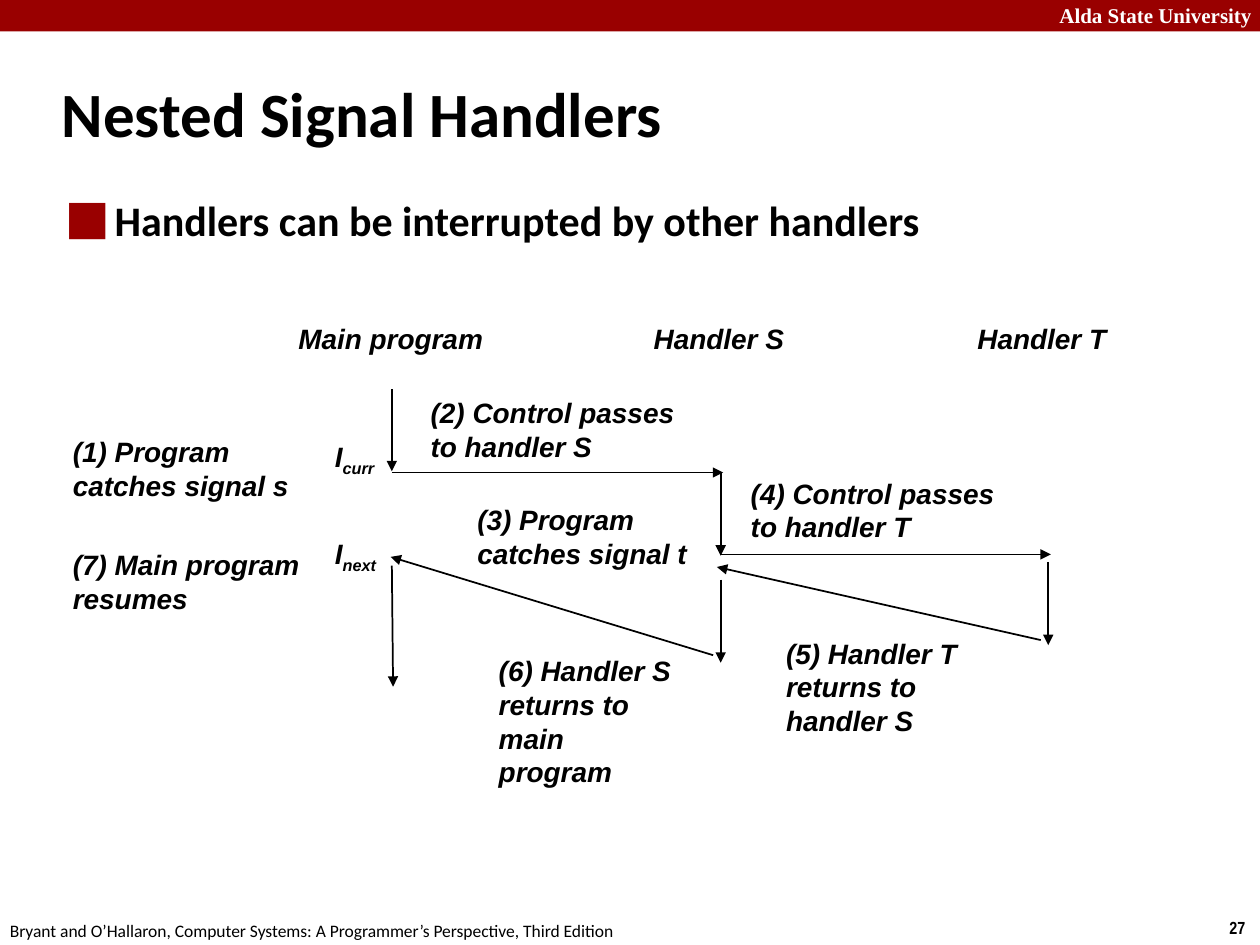
"""Build the slide on nested signal handlers."""
from lxml import etree
from pptx import Presentation
from pptx import util as u
from pptx.dml.color import RGBColor
from pptx.enum import shapes, text
from pptx.oxml import ns

COLORS = {"accent": "990000", "ink": "000000", "paper": "FFFFFF"}
MAIN_X, S_X, T_X = 3.11, 5.72, 8.32

ARROWS = [
    ((MAIN_X, 3.09), (MAIN_X, 3.74)),
    ((MAIN_X, 3.75), (5.74, 3.75)),
    ((S_X, 3.75), (S_X, 4.41)),
    ((S_X, 4.4), (8.34, 4.4)),
    ((T_X, 4.46), (T_X, 5.12)),
    ((8.26, 5.08), (5.69, 4.5)),
    ((S_X, 4.6), (S_X, 5.26)),
    ((5.66, 5.2), (3.1, 4.42)),
    ((MAIN_X, 4.49), (3.12, 5.45)),
]

LABELS = [
    ((2.27, 2.5, 1.74, 0.37), ["Main program"]),
    ((5.09, 2.5, 1.34, 0.37), ["Handler S"]),
    ((7.66, 2.5, 1.34, 0.37), ["Handler T"]),
    ((0.48, 3.4, 2.1, 0.64), ["(1) Program catches signal s"]),
    ((3.32, 3.09, 2.24, 0.64), ["(2) Control passes to handler S"]),
    ((3.69, 3.94, 2.03, 0.64), ["(3) Program catches signal t"]),
    ((5.86, 3.73, 2.31, 0.64), ["(4) Control passes to handler T"]),
    ((6.14, 5, 1.62, 0.91), ["(5) Handler T", "returns to handler S"]),
    ((3.86, 5.14, 1.62, 1.18), ["(6) Handler S", "returns to main program"]),
    ((0.48, 4.3, 2.1, 0.64), ["(7) Main program resumes"]),
]


def rgb(name):
    """Return a named colour."""
    return RGBColor.from_string(COLORS[name])


def add_span(para, words, size, font, color="ink", bold=True, italic=False):
    """Add one formatted run to a paragraph."""
    span = para.add_run()
    span.text = words
    span.font.size = u.Pt(size)
    span.font.name = font
    span.font.bold = bold
    span.font.italic = italic
    span.font.color.rgb = rgb(color)
    return span


def add_box(page, place):
    """Add an empty wrapping text box and return its text frame."""
    frame = page.shapes.add_textbox(*map(u.Inches, place)).text_frame
    frame.word_wrap = True
    return frame


def add_line_of_text(page, place, words, size, font, **style):
    """Add a text box with one paragraph in one style."""
    add_span(add_box(page, place).paragraphs[0], words, size, font, **style)


def add_label(page, place, lines):
    """Add a diagram label with one paragraph for each line."""
    frame = add_box(page, place)
    for index, line in enumerate(lines):
        para = frame.add_paragraph() if index else frame.paragraphs[0]
        add_span(para, line, 16, "Arial", italic=True)


def add_instruction(page, top, subscript):
    """Add an instruction symbol with its subscript."""
    para = add_box(page, (2.56, top, 0.61, 0.37)).paragraphs[0]
    add_span(para, "I", 16, "Arial", italic=True)
    span = add_span(para, subscript, 16, "Arial", italic=True)
    span.font._element.set("baseline", "-25000")


def add_arrow(page, start, end):
    """Add a straight arrow between two points."""
    arrow = page.shapes.add_connector(
        shapes.MSO_CONNECTOR.STRAIGHT, *map(u.Inches, start + end))
    arrow.line.color.rgb = rgb("ink")
    arrow.line.width = u.Pt(1)
    etree.SubElement(arrow.line._get_or_add_ln(), ns.qn("a:tailEnd"), type="triangle")
    etree.SubElement(arrow._element.spPr, ns.qn("a:effectLst"))


def add_band(page):
    """Add the coloured band along the top edge."""
    band = page.shapes.add_shape(
        shapes.MSO_SHAPE.RECTANGLE, 0, 0, u.Inches(10), u.Inches(0.25))
    band.shadow.inherit = False
    band.fill.solid()
    band.fill.fore_color.rgb = rgb("accent")
    band.line.fill.background()


def fill_placeholder(holder, place, words, size, anchor):
    """Place a placeholder, write its text and return the paragraph."""
    holder.left, holder.top, holder.width, holder.height = map(u.Inches, place)
    frame = holder.text_frame
    frame.auto_size = text.MSO_AUTO_SIZE.NONE
    frame.vertical_anchor = anchor
    para = frame.paragraphs[0]
    para.alignment = text.PP_ALIGN.LEFT
    para.space_before = u.Pt(0)
    add_span(para, words, size, "Calibri")
    return para


def set_bullet(para, symbol, indent):
    """Give a paragraph a coloured bullet and a hanging indent."""
    props = para._p.get_or_add_pPr()
    props.set("marL", str(u.Inches(indent)))
    props.set("indent", str(-u.Inches(indent)))
    color = etree.SubElement(props, ns.qn("a:buClr"))
    etree.SubElement(color, ns.qn("a:srgbClr"), val=COLORS["accent"])
    etree.SubElement(props, ns.qn("a:buChar"), char=symbol)


def main():
    """Build and save the deck."""
    deck = Presentation()
    deck.slide_width, deck.slide_height = u.Inches(10), u.Inches(7.5)
    page = deck.slides.add_slide(deck.slide_layouts[1])
    page.background.fill.solid()
    page.background.fill.fore_color.rgb = rgb("paper")

    add_band(page)
    add_line_of_text(page, (8.31, -0.03, 1.76, 0.3), "Alda State University",
                     12, "Times New Roman", color="paper")
    add_line_of_text(page, (9.66, 7.23, 0.34, 0.27), "27", 10, "Arial Narrow")
    add_line_of_text(
        page, (-0.02, 7.25, 5.08, 0.27),
        "Bryant and O’Hallaron, Computer Systems: A Programmer’s Perspective, Third Edition",
        10, "Calibri", bold=False)

    fill_placeholder(page.shapes.title, (0.39, 0.48, 8.3, 0.83),
                     "Nested Signal Handlers", 36, text.MSO_ANCHOR.MIDDLE)
    point = fill_placeholder(page.placeholders[1], (0.43, 1.49, 8.64, 0.68),
                             "Handlers can be interrupted by other handlers",
                             24, text.MSO_ANCHOR.TOP)
    set_bullet(point, "⬛", 0.38)

    for start, end in ARROWS:
        add_arrow(page, start, end)
    for place, lines in LABELS:
        add_label(page, place, lines)
    add_instruction(page, 3.44, "curr")
    add_instruction(page, 4.21, "next")
    deck.save("out.pptx")


if __name__ == "__main__":
    main()
